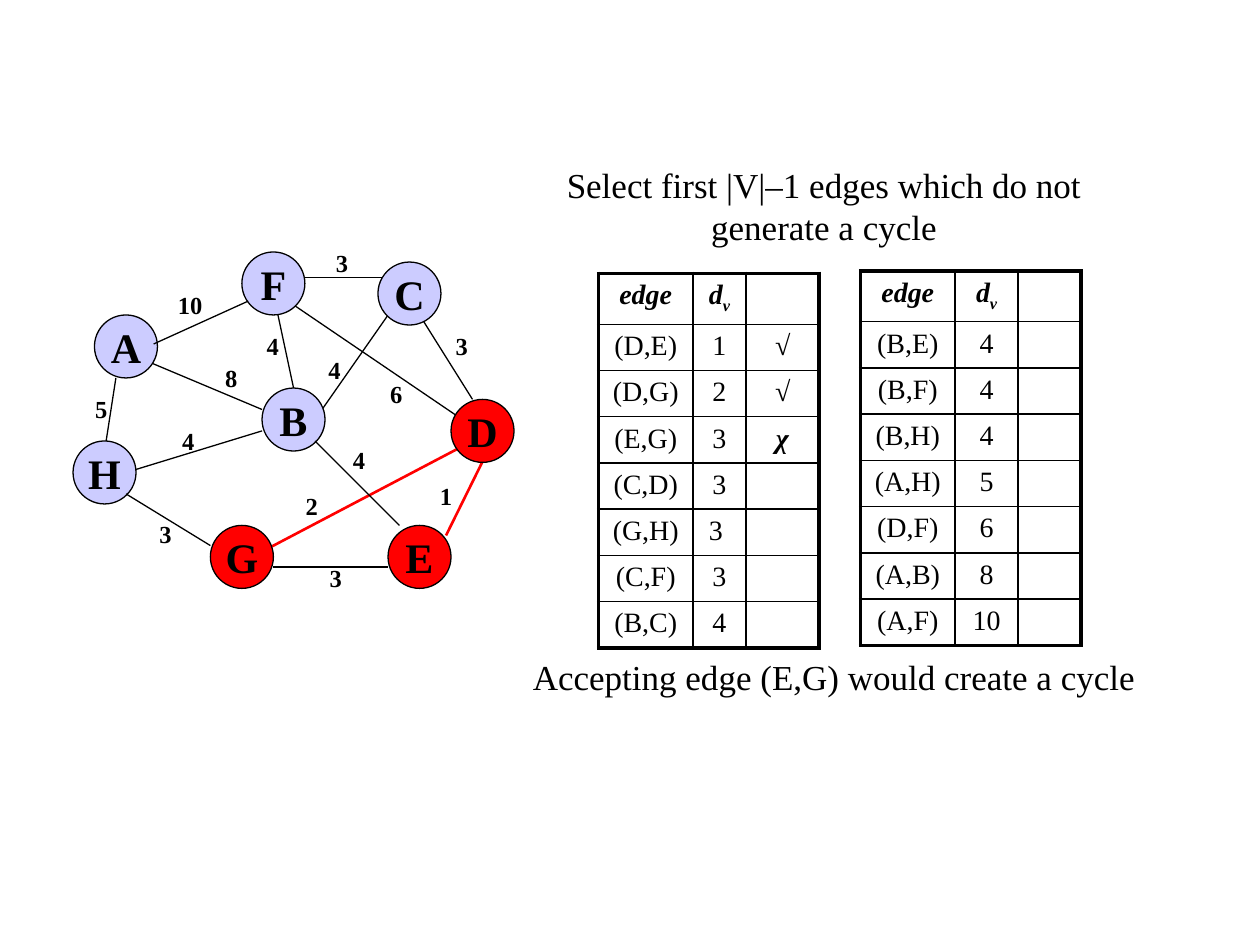
from lxml.etree import SubElement
from pptx import Presentation
from pptx.dml.color import RGBColor
from pptx.enum.shapes import MSO_CONNECTOR, MSO_SHAPE
from pptx.enum.text import MSO_ANCHOR, PP_ALIGN
from pptx.oxml.ns import qn
from pptx.util import Inches, Pt

BLACK, RED, LAVENDER = "000000", "FF0000", "CCCCFF"
FONT = "Times New Roman"
THIN, THICK = 1, 2.25
HEADER_HEIGHT, EDGE_ROW_HEIGHT = 0.4, 2.57 / 7

EDGES_BEHIND = [
    (3.95, 3.42, 3.54, 4.25, RED), (2.17, 2.33, 2.33, 3.08, BLACK),
    (2.5, 3.33, 3.08, 2.5, BLACK), (3.67, 3.33, 2.33, 2.42, BLACK),
    (1, 3.75, 2.08, 3.42, BLACK), (2, 4.42, 3.75, 3.5, RED),
    (0.83, 3.58, 0.92, 3, BLACK), (1.08, 2.83, 2.08, 3.25, BLACK),
    (2.38, 2.2, 3.05, 2.2, BLACK), (3.33, 2.5, 3.75, 3.17, BLACK),
]
EDGES_IN_FRONT = [
    (2.5, 3.5, 3.17, 4.17, BLACK), (3.08, 4.5, 2.17, 4.5, BLACK),
    (1.67, 4.33, 1, 3.92, BLACK), (1.22, 2.73, 1.97, 2.39, BLACK),
]
VERTICES = [
    ("A", 0.75, 2.5), ("H", 0.58, 3.5), ("B", 2.08, 3.08), ("F", 1.92, 2),
    ("E", 3.08, 4.17), ("D", 3.58, 3.17), ("C", 3, 2.08), ("G", 1.67, 4.17),
]
REACHED = "DEG"
WEIGHTS = [
    ("5", 0.64, 3.08, 0.33), ("1", 3.28, 3.77, 0.52), ("3", 2.5, 4.42, 0.33),
    ("2", 2.31, 3.85, 0.33), ("4", 2.59, 3.48, 0.52), ("6", 2.89, 2.96, 0.51),
    ("3", 3.5, 2.58, 0.33), ("4", 2.49, 2.77, 0.33), ("3", 2.55, 1.92, 0.33),
    ("4", 2, 2.58, 0.33), ("8", 1.67, 2.83, 0.33), ("4", 1.33, 3.33, 0.33),
    ("3", 1.15, 4.07, 0.33), ("10", 1.25, 2.25, 0.52),
]
FIRST_EDGES = [
    ("(D,E)", "1", "√"), ("(D,G)", "2", "√"), ("(E,G)", "3", "χ"),
    ("(C,D)", "3", ""), ("(G,H)", "3 ", ""), ("(C,F)", "3", ""),
    ("(B,C)", "4", ""),
]
LAST_EDGES = [
    ("(B,E)", "4", ""), ("(B,F)", "4", ""), ("(B,H)", "4", ""),
    ("(A,H)", "5", ""), ("(D,F)", "6", ""), ("(A,B)", "8", ""),
    ("(A,F)", "10", ""),
]


def color(hex_code):
    """Turn a hex string into a colour."""
    return RGBColor.from_string(hex_code)


def style(paragraph, size, bold=False, italic=False):
    """Centre a paragraph and set its font."""
    paragraph.alignment = PP_ALIGN.CENTER
    font = paragraph.font
    font.name, font.size = FONT, Pt(size)
    font.bold, font.italic = bold, italic
    font.color.rgb = color(BLACK)


def add_text(slide, text, left, top, width, height, size, bold=False):
    """Add a wrapped, centred text box."""
    box = slide.shapes.add_textbox(
        Inches(left), Inches(top), Inches(width), Inches(height))
    box.text_frame.word_wrap = True
    box.text_frame.text = text
    style(box.text_frame.paragraphs[0], size, bold)


def add_edge(slide, x1, y1, x2, y2, stroke):
    """Draw a graph edge; accepted (red) edges are heavier."""
    edge = slide.shapes.add_connector(
        MSO_CONNECTOR.STRAIGHT, Inches(x1), Inches(y1), Inches(x2), Inches(y2))
    edge.line.color.rgb = color(stroke)
    edge.line.width = Pt(1.5 if stroke == RED else 0.75)
    SubElement(edge._element.spPr, qn("a:effectLst"))


def add_vertex(slide, name, left, top):
    """Draw a graph vertex as a labelled circle."""
    vertex = slide.shapes.add_shape(
        MSO_SHAPE.OVAL, Inches(left), Inches(top), Inches(0.5), Inches(0.5))
    vertex.shadow.inherit = False
    vertex.fill.solid()
    vertex.fill.fore_color.rgb = color(RED if name in REACHED else LAVENDER)
    vertex.line.color.rgb = color(BLACK)
    vertex.line.width = Pt(0.75)
    label = vertex.text_frame
    label.word_wrap = False
    label.vertical_anchor = MSO_ANCHOR.MIDDLE
    label.text = name
    style(label.paragraphs[0], 24, bold=True)


def set_borders(cell, **widths):
    """Give a cell solid black borders, widths in points by side."""
    properties = cell._tc.get_or_add_tcPr()
    for index, side in enumerate(("L", "R", "T", "B")):
        border = properties.makeelement(
            qn(f"a:ln{side}"), {"w": str(Pt(widths[side]))})
        fill = SubElement(border, qn("a:solidFill"))
        SubElement(fill, qn("a:srgbClr"), val=BLACK)
        properties.insert(index, border)


def fill_cell(cell, text, emphasis):
    """Write a cell's text, keeping empty cells at the table's text size."""
    cell.fill.background()
    paragraph = cell.text_frame.paragraphs[0]
    if text:
        paragraph.add_run().text = text
    else:
        SubElement(paragraph._p, qn("a:endParaRPr"), sz="1600")
    style(paragraph, 16, emphasis, emphasis)


def add_edge_table(slide, left, top, widths, edges):
    """Add a table of edges, their weights and whether each is accepted."""
    rows = [("edge", "d", "")] + edges
    height = HEADER_HEIGHT + EDGE_ROW_HEIGHT * len(edges)
    table = slide.shapes.add_table(
        len(rows), len(widths), Inches(left), Inches(top),
        Inches(sum(widths)), Inches(height)).table
    table.first_row = table.horz_banding = False
    for column, width in zip(table.columns, widths):
        column.width = Inches(width)
    last_row, last_column = len(rows) - 1, len(widths) - 1
    for r, values in enumerate(rows):
        table.rows[r].height = Inches(EDGE_ROW_HEIGHT if r else HEADER_HEIGHT)
        for c, text in enumerate(values):
            cell = table.cell(r, c)
            fill_cell(cell, text, emphasis=r == 0 or c == last_column)
            set_borders(cell,
                        L=THICK if c == 0 else THIN,
                        R=THICK if c == last_column else THIN,
                        T=THICK if r == 0 else THIN,
                        B=THICK if r == last_row else THIN)
    subscript = table.cell(0, 1).text_frame.paragraphs[0].add_run()
    subscript.text = "v"
    subscript.font._element.set("baseline", "-25000")


def main():
    """Build the slide on choosing edges for a minimum spanning tree."""
    deck = Presentation()
    deck.slide_width, deck.slide_height = Inches(10), Inches(7.5)
    slide = deck.slides.add_slide(deck.slide_layouts[6])

    add_text(slide, "Select first |V|–1 edges which do not generate a cycle",
             4.33, 1.25, 4.42, 0.77, 20)
    for edge in EDGES_BEHIND:
        add_edge(slide, *edge)
    for vertex in VERTICES:
        add_vertex(slide, *vertex)
    for edge in EDGES_IN_FRONT:
        add_edge(slide, *edge)
    for weight, left, top, width in WEIGHTS:
        add_text(slide, weight, left, top, width, 0.33, 14, bold=True)
    add_edge_table(slide, 4.75, 2.17, (0.75, 0.42, 0.58), FIRST_EDGES)
    add_edge_table(slide, 6.83, 2.15, (0.75, 0.5, 0.5), LAST_EDGES)
    add_text(slide, "Accepting edge (E,G) would create a cycle",
             4.08, 5.15, 5.08, 0.43, 20)
    deck.save("out.pptx")


main()
